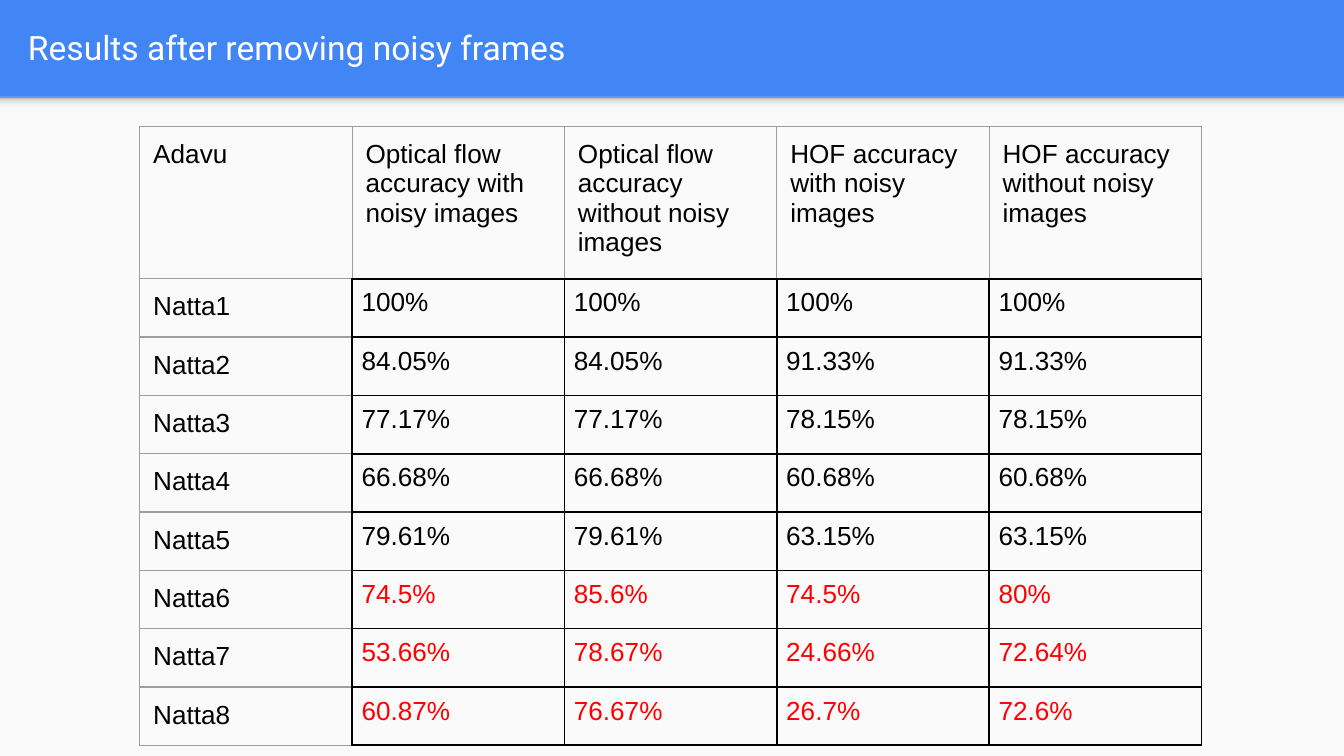
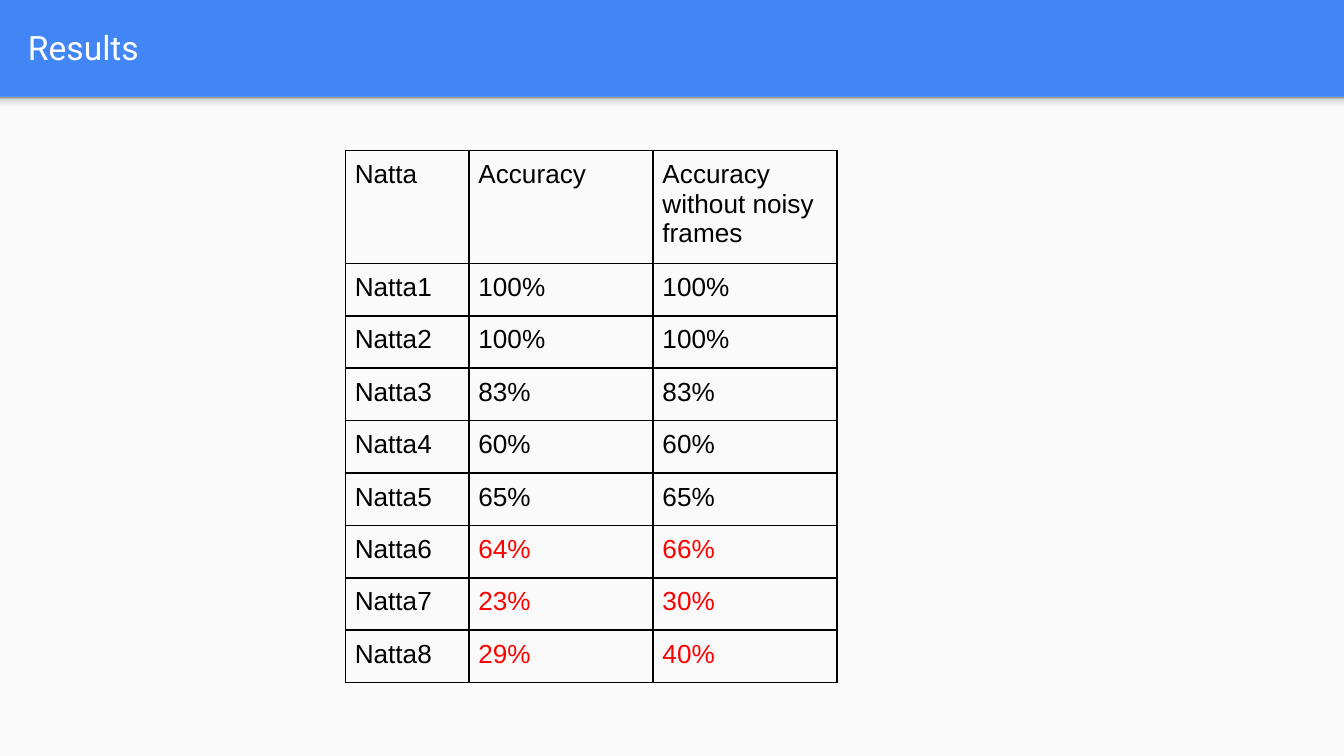
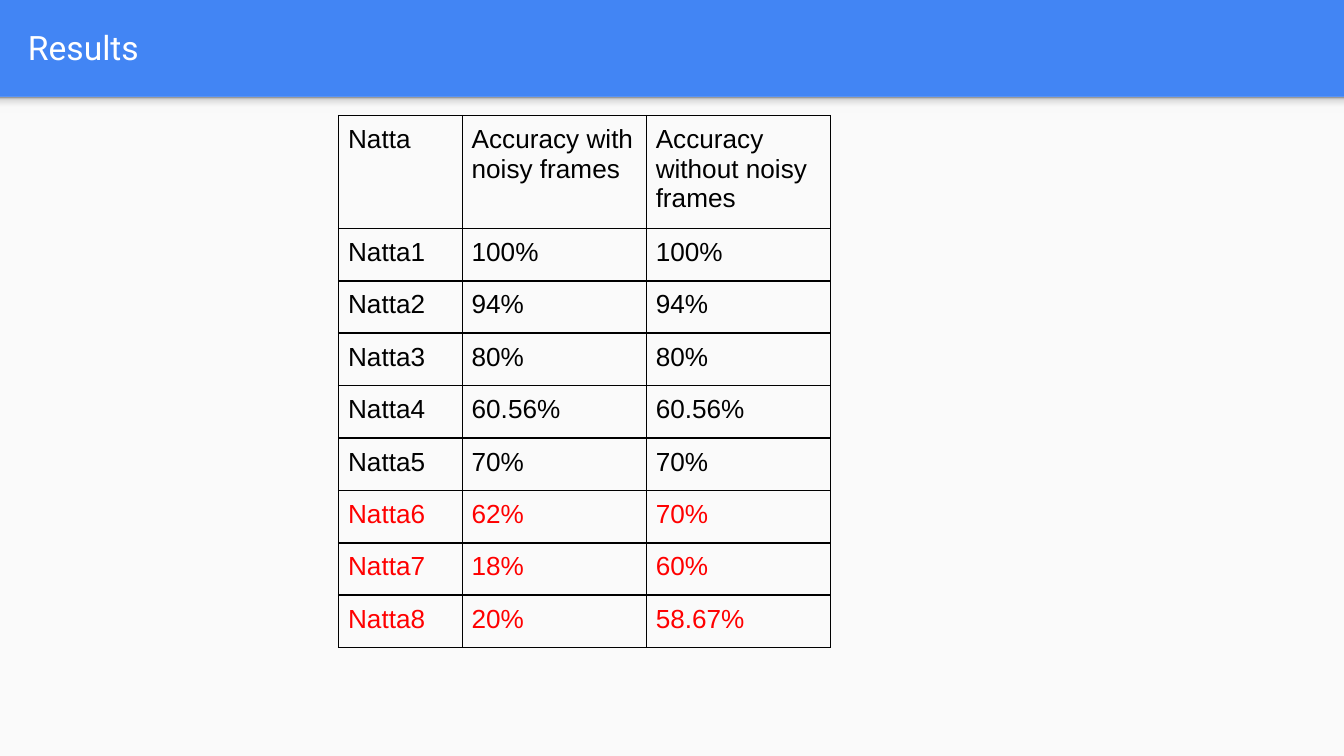
from lxml.etree import SubElement
from pptx import Presentation
from pptx.dml.color import RGBColor
from pptx.enum.shapes import MSO_SHAPE
from pptx.enum.text import MSO_ANCHOR
from pptx.oxml.ns import qn
from pptx.util import Inches, Pt

COLORS = {
    "band": "4285F4",
    "panel": "FAFAFA",
    "title": "FFFFFF",
    "text": "000000",
    "improved": "FF0000",
    "line": "000000",
    "soft_line": "9E9E9E",
}
BAND_SHADOW = [(0, "F9F9F9"), (36, "F9F9F9"), (80, "DEDEDE"), (100, "999999")]
WIDTH = 10
HEIGHT = WIDTH * 9 / 16
BAND_HEIGHT = 0.72
INSET, SOFT_INSET = 0.07, 0.1
IMPROVED_ROWS = (6, 7, 8)  # the Nattas whose accuracy rises

# soft_edges: grey lines and wider insets in the header row and label column
# red_from: first column printed red in the improved rows
SLIDES = [
    {
        "title": "Results after removing noisy frames",
        "at": (1.04, 0.94), "cols": [1.58] * 5, "header_height": 1.08, "row_height": 0.42,
        "soft_edges": True, "red_from": 1,
        "header": ["Adavu",
                   "Optical flow accuracy with noisy images",
                   "Optical flow accuracy without noisy images",
                   "HOF accuracy with noisy images",
                   "HOF accuracy without noisy images"],
        "values": [
            ("100%", "100%", "100%", "100%"),
            ("84.05%", "84.05%", "91.33%", "91.33%"),
            ("77.17%", "77.17%", "78.15%", "78.15%"),
            ("66.68%", "66.68%", "60.68%", "60.68%"),
            ("79.61%", "79.61%", "63.15%", "63.15%"),
            ("74.5%", "85.6%", "74.5%", "80%"),
            ("53.66%", "78.67%", "24.66%", "72.64%"),
            ("60.87%", "76.67%", "26.7%", "72.6%"),
        ],
    },
    {
        "title": "Results",
        "at": (2.57, 1.12), "cols": [0.92, 1.37, 1.37], "header_height": 0.8, "row_height": 0.39,
        "soft_edges": False, "red_from": 1,
        "header": ["Natta", "Accuracy", "Accuracy\nwithout noisy frames"],
        "values": [("100%", "100%"), ("100%", "100%"), ("83%", "83%"), ("60%", "60%"),
                   ("65%", "65%"), ("64%", "66%"), ("23%", "30%"), ("29%", "40%")],
    },
    {
        "title": "Results",
        "at": (2.52, 0.86), "cols": [0.92, 1.37, 1.37], "header_height": 0.8, "row_height": 0.39,
        "soft_edges": False, "red_from": 0,
        "header": ["Natta", "Accuracy with noisy frames", "Accuracy without noisy frames"],
        "values": [("100%", "100%"), ("94%", "94%"), ("80%", "80%"), ("60.56%", "60.56%"),
                   ("70%", "70%"), ("62%", "70%"), ("18%", "60%"), ("20%", "58.67%")],
    },
]


def rgb(name):
    return RGBColor.from_string(COLORS[name])


def set_font(p, name, size, color):
    p.font.name = name
    p.font.size = Pt(size)
    p.font.color.rgb = rgb(color)


def set_margins(target, inset):
    target.margin_left = target.margin_right = Inches(inset)
    target.margin_top = target.margin_bottom = Inches(inset)


def add_rect(slide, top, height):
    sp = slide.shapes.add_shape(MSO_SHAPE.RECTANGLE, 0, Inches(top), Inches(WIDTH), Inches(height))
    sp.shadow.inherit = False
    sp.line.fill.background()
    return sp


def add_frame(slide, title):
    """Blue band with its title, the pale panel and the shadow under the band."""
    slide.background.fill.solid()
    slide.background.fill.fore_color.rgb = rgb("band")

    panel = add_rect(slide, BAND_HEIGHT, HEIGHT - BAND_HEIGHT)
    panel.fill.solid()
    panel.fill.fore_color.rgb = rgb("panel")

    shadow = add_rect(slide, BAND_HEIGHT, 0.12)
    shadow.fill.gradient()
    shadow.fill.gradient_angle = 90
    stops = shadow._element.spPr.find(".//" + qn("a:gsLst"))
    stops.clear()
    for percent, color in BAND_SHADOW:
        stop = SubElement(stops, qn("a:gs"), pos=str(percent * 1000))
        SubElement(stop, qn("a:srgbClr"), val=color)

    box = slide.shapes.add_textbox(Inches(0.11), Inches(0.02), Inches(9.65), Inches(0.66))
    tf = box.text_frame
    tf.word_wrap = True
    tf.vertical_anchor = MSO_ANCHOR.MIDDLE
    set_margins(tf, 0.1)
    tf.text = title
    set_font(tf.paragraphs[0], "Roboto", 18, "title")


def set_borders(cell, soft):
    """Draw all four borders; the sides named in soft are thin and grey."""
    tc_pr = cell._tc.get_or_add_tcPr()
    for side in "LRTB":
        color, width = ("soft_line", 0.75) if side in soft else ("line", 1)
        ln = SubElement(tc_pr, qn(f"a:ln{side}"), w=str(Pt(width)))
        fill = SubElement(ln, qn("a:solidFill"))
        SubElement(fill, qn("a:srgbClr"), val=COLORS[color])


def soft_sides(row, col):
    """Header and label cells are soft except where they touch a value cell."""
    if row and col:
        return ""
    if row:
        return "LTB"
    return "LRT" if col else "LRTB"


def add_results(slide, data):
    rows = [data["header"]]
    rows += [(f"Natta{n}", *values) for n, values in enumerate(data["values"], 1)]
    heights = [data["header_height"]] + [data["row_height"]] * len(data["values"])
    left, top = data["at"]
    table = slide.shapes.add_table(len(rows), len(data["cols"]), Inches(left), Inches(top),
                                   Inches(sum(data["cols"])), Inches(sum(heights))).table
    table.first_row = table.horz_banding = False
    for column, width in zip(table.columns, data["cols"]):
        column.width = Inches(width)
    for i, (row, height) in enumerate(zip(rows, heights)):
        table.rows[i].height = Inches(height)
        for j, text in enumerate(row):
            cell = table.cell(i, j)
            soft = soft_sides(i, j) if data["soft_edges"] else ""
            set_borders(cell, soft)
            cell.fill.background()
            set_margins(cell, SOFT_INSET if soft else INSET)
            cell.text = text
            improved = i in IMPROVED_ROWS and j >= data["red_from"]
            for p in cell.text_frame.paragraphs:
                set_font(p, "Arial", 14, "improved" if improved else "text")


def main():
    prs = Presentation()
    prs.slide_width, prs.slide_height = Inches(WIDTH), Inches(HEIGHT)
    for data in SLIDES:
        slide = prs.slides.add_slide(prs.slide_layouts[6])
        add_frame(slide, data["title"])
        add_results(slide, data)
    prs.save("out.pptx")


if __name__ == "__main__":
    main()
